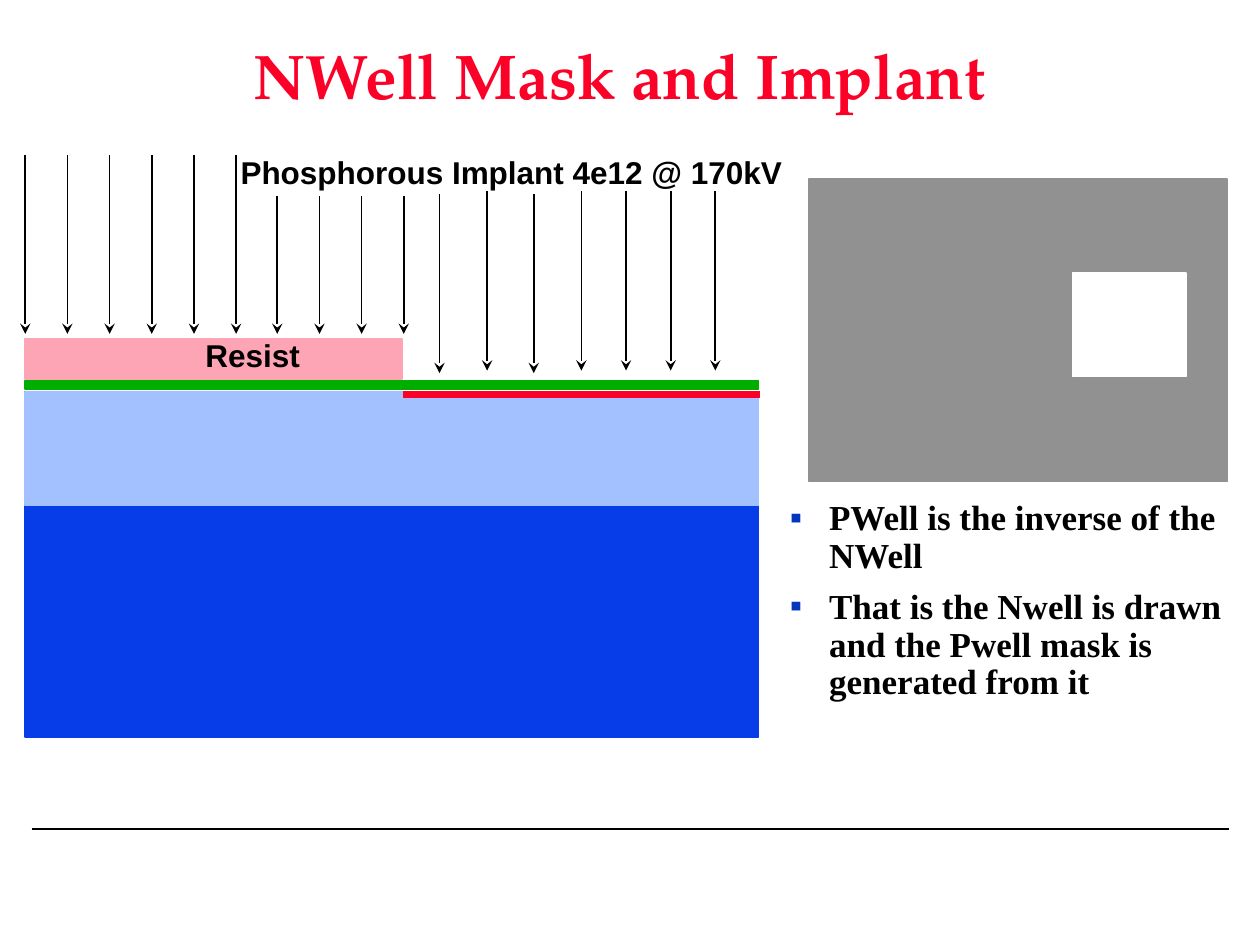
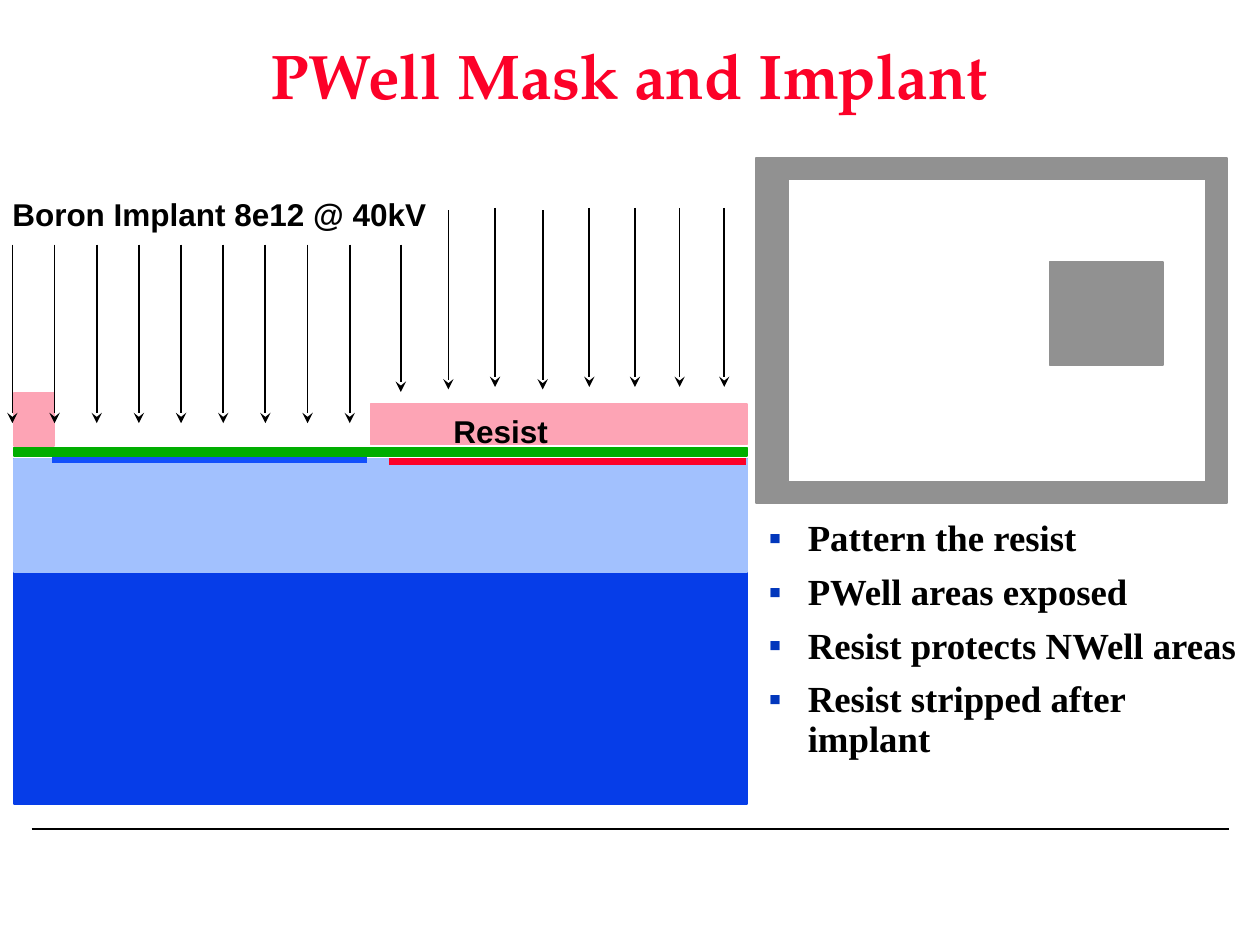
from lxml import etree
from pptx import Presentation
from pptx import util as u
from pptx.dml.color import RGBColor
from pptx.enum import shapes, text
from pptx.oxml.ns import qn

COLORS = {
    "title": "FC0128", "ink": "000000", "bullet": "0237BC",
    "mask": "919191", "clear": "FFFFFF", "resist": "FDA4B5",
    "oxide": "00AE00", "epi": "A2C1FE", "substrate": "063DE8",
    "nwell": "FC0128", "pwell": "114FFB",
}
TITLE_FONT = {"name": "TeX Gyre Pagella", "size": u.Pt(36), "bold": True}
LIST_FONT = {"name": "Times New Roman", "bold": True}
LABEL_FONT = {"name": "Arial", "size": u.Pt(18), "bold": True}
WAFER_WIDTH, WAFER_DEPTH, EPI_DEPTH = 14.78, 6.96, 2.29
OXIDE_RISE, OXIDE_DEPTH = 0.23, 0.18

# Lengths are centimetres.
# Arrow rows: first x, step, count, top, bottom.
SLIDES = [
    {
        "title": "NWell Mask and Implant", "title_left": 2.54,
        "bullets": ["PWell is the inverse of the NWell",
                    "That is the Nwell is drawn and the Pwell mask is generated from it"],
        "body": (15.67, 9.96, 9.73, 5.28), "size": 20, "before": 7.5,
        "masks": [((16.31, 3.61, 8.43, 6.1), "mask", "mask"),
                  ((21.62, 5.51, 2.29, 2.08), "clear", "clear")],
        "wafer": (0.51, 7.9),
        "resists": [(0.51, 6.83, 7.59, 0.81)],
        "labels": [("Phosphorous Implant 4e12 @ 170kV", 4.6, 2.97, 11.43),
                   ("Resist", 3.89, 6.65, 2.41)],
        "arrows": [(0.51, 0.85, 6, 3.12, 6.73), (5.59, 0.85, 4, 3.96, 6.73),
                   (8.86, 1.9, 2, 3.91, 7.52), (9.82, 1.9, 2, 3.86, 7.47),
                   (12.62, 0.9, 3, 3.86, 7.47)],
        "implants": [("nwell", 8.13, 15.32, 7.95)],
    },
    {
        "title": "PWell Mask and Implant", "title_left": 2.74,
        "bullets": ["Pattern the resist", "PWell areas exposed",
                    "Resist protects NWell areas", "Resist stripped after implant"],
        "body": (15.24, 10.36, 10.16, 6.78), "size": 21, "before": 7.9,
        "masks": [((15.24, 3.18, 9.5, 6.96), "mask", "mask"),
                  ((15.88, 3.61, 8.43, 6.1), "clear", "mask"),
                  ((21.16, 5.28, 2.29, 2.08), "mask", "mask")],
        "wafer": (0.28, 9.25),
        "resists": [(0.28, 7.92, 0.81, 1.07), (7.47, 8.15, 7.59, 0.81)],
        "labels": [("Boron Implant 8e12 @ 40kV", 0, 3.81, 8.86),
                   ("Resist", 8.89, 8.18, 2.41)],
        "arrows": [(0.25, 0.85, 9, 4.93, 8.53), (8.08, 0, 1, 4.93, 7.9),
                   (9.04, 1.9, 2, 4.24, 7.85), (9.98, 1.9, 2, 4.19, 7.8),
                   (12.8, 0.9, 3, 4.19, 7.8)],
        "implants": [("pwell", 1.04, 7.39, 9.27), ("nwell", 7.85, 15.04, 9.3)],
    },
]


def add_box(page, place, fill, outline):
    box = page.shapes.add_shape(shapes.MSO_SHAPE.RECTANGLE, *map(u.Cm, place))
    box.shadow.inherit = False
    box.fill.solid()
    box.fill.fore_color.rgb = RGBColor.from_string(COLORS[fill])
    box.line.color.rgb = RGBColor.from_string(COLORS[outline])
    box.line.width = u.Pt(1)


def add_line(page, ends, color="ink", width=1, arrow=False):
    line = page.shapes.add_connector(shapes.MSO_CONNECTOR.STRAIGHT, *map(u.Cm, ends))
    line.line.color.rgb = RGBColor.from_string(COLORS[color])
    line.line.width = u.Pt(width)
    properties = line.element.spPr
    if arrow:
        etree.SubElement(properties.find(qn("a:ln")), qn("a:tailEnd"), type="stealth")
    etree.SubElement(properties, qn("a:effectLst"))
    return line


deck = Presentation()
deck.slide_width, deck.slide_height = u.Cm(25.4), u.Cm(19.05)
layout = deck.slide_layouts[1]

for number, content in enumerate(SLIDES):
    page = deck.slides.add_slide(layout)

    # Footer rule, kept on the shared layout
    if number == 0:
        rule = add_line(page, (0.64, 16.71, 24.77, 16.71))
        layout.shapes.element.append(rule.element)

    # Title
    title = page.shapes.title
    title.left, title.top = u.Cm(content["title_left"]), u.Cm(0)
    title.width, title.height = u.Cm(19.89), u.Cm(3.18)
    title.text_frame.text = content["title"]
    title.text_frame.vertical_anchor = text.MSO_ANCHOR.MIDDLE
    title.text_frame.auto_size = text.MSO_AUTO_SIZE.NONE
    para = title.text_frame.paragraphs[0]
    para.alignment, para.line_spacing = text.PP_ALIGN.CENTER, 0.9
    span = para.runs[0]
    span.font.color.rgb = RGBColor.from_string(COLORS["title"])
    for name, value in TITLE_FONT.items():
        setattr(span.font, name, value)

    # Bulleted list
    body = page.placeholders[1]
    for name, value in zip(("left", "top", "width", "height"), content["body"]):
        setattr(body, name, u.Cm(value))
    body.text_frame.text = "\n".join(content["bullets"])
    body.text_frame.auto_size = text.MSO_AUTO_SIZE.NONE
    for para in body.text_frame.paragraphs:
        para.line_spacing, para.space_before = 0.9, u.Pt(content["before"])
        properties = para._p.get_or_add_pPr()
        properties.set("marL", str(u.Cm(0.79)))
        properties.set("indent", str(u.Cm(-0.79)))
        bullet_color = etree.SubElement(properties, qn("a:buClr"))
        etree.SubElement(bullet_color, qn("a:srgbClr"), val=COLORS["bullet"])
        etree.SubElement(properties, qn("a:buChar"), char="▪")
        span = para.runs[0]
        span.font.color.rgb = RGBColor.from_string(COLORS["ink"])
        for name, value in {**LIST_FONT, "size": u.Pt(content["size"])}.items():
            setattr(span.font, name, value)

    # Mask layout
    for place, fill, outline in content["masks"]:
        add_box(page, place, fill, outline)

    # Wafer and resist
    left, top = content["wafer"]
    add_box(page, (left, top, WAFER_WIDTH, WAFER_DEPTH), "substrate", "substrate")
    add_box(page, (left, top, WAFER_WIDTH, EPI_DEPTH), "epi", "epi")
    for place in content["resists"]:
        add_box(page, place, "resist", "resist")

    # Labels
    for words, label_left, label_top, width in content["labels"]:
        box = page.shapes.add_textbox(*map(u.Cm, (label_left, label_top, width, 1.02)))
        box.text_frame.word_wrap = False
        box.text_frame.auto_size = text.MSO_AUTO_SIZE.SHAPE_TO_FIT_TEXT
        span = box.text_frame.paragraphs[0].add_run()
        span.text = words
        span.font.color.rgb = RGBColor.from_string(COLORS["ink"])
        for name, value in LABEL_FONT.items():
            setattr(span.font, name, value)

    # Ion beam arrows
    for first, step, count, start, end in content["arrows"]:
        for index in range(count):
            x = first + index * step
            add_line(page, (x, start, x, end), arrow=True)

    # Implanted layers under the oxide
    for color, start, end, y in content["implants"]:
        add_line(page, (start, y, end, y), color, 4)
    add_box(page, (left, top - OXIDE_RISE, WAFER_WIDTH, OXIDE_DEPTH), "oxide", "oxide")

deck.save("out.pptx")
